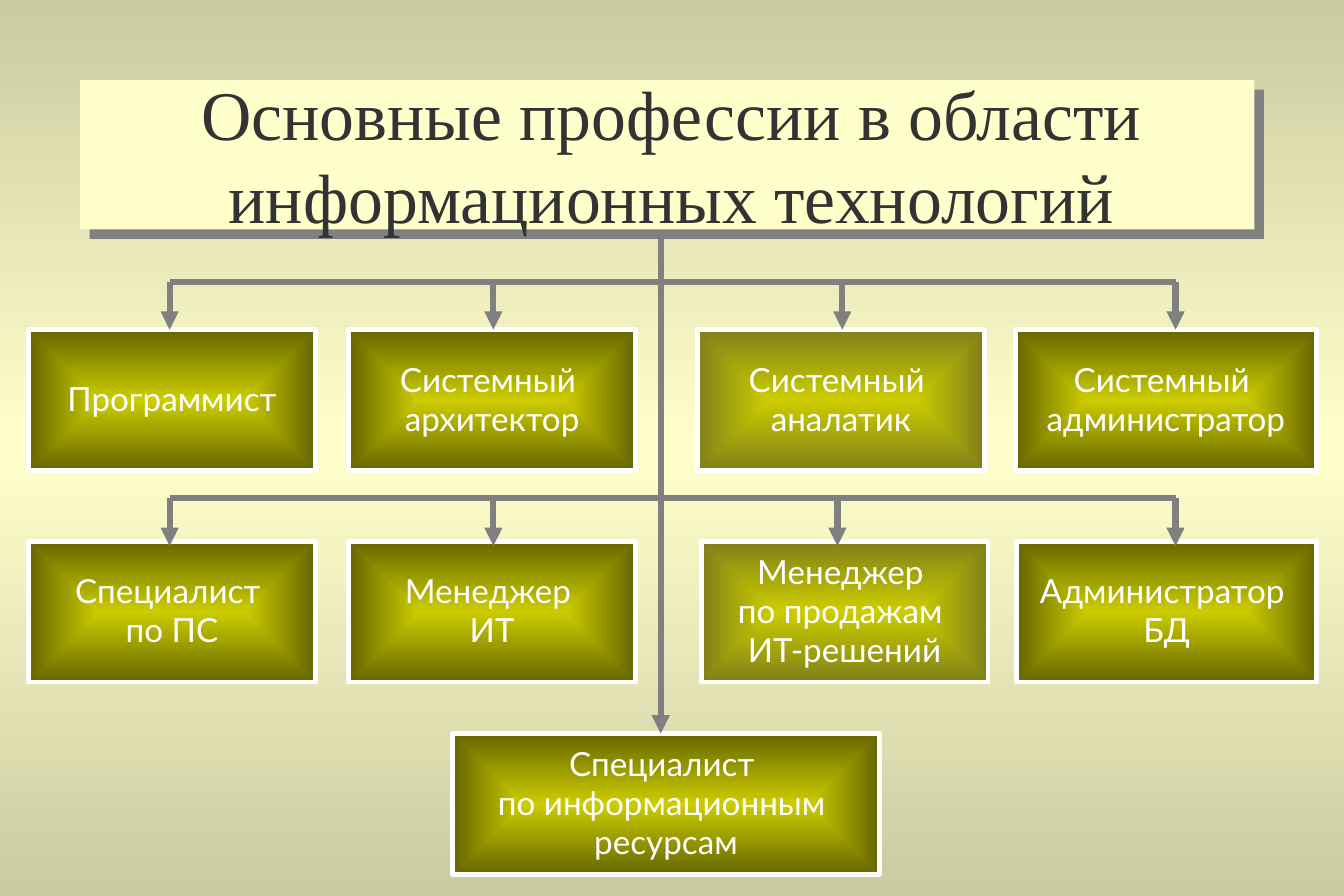
from copy import deepcopy

from lxml.etree import SubElement
from pptx import Presentation
from pptx.dml.color import RGBColor
from pptx.enum.shapes import MSO_CONNECTOR, MSO_SHAPE
from pptx.enum.text import MSO_ANCHOR, PP_ALIGN
from pptx.oxml.ns import qn
from pptx.util import Inches, Pt

GREY = "808080"
CREAM = "FFFFCC"
OLIVE = "666600"
PALE_OLIVE = "808019"
BOX_HEIGHT = 1.18
BAR_LEFT, BAR_RIGHT, TRUNK_X = 1.42, 9.84, 5.53

# Each row: bar height, box top, arrow length, then (left, width, arrow x, edge colour, lines)
ROWS = [
    (2.36, 2.76, [
        (0.24, 2.4, BAR_LEFT, OLIVE, ["Программист"]),
        (2.92, 2.4, 4.13, OLIVE, ["Системный ", "архитектор"]),
        (5.84, 2.4, 7.05, PALE_OLIVE, ["Системный ", "аналатик"]),
        (8.5, 2.52, BAR_RIGHT, OLIVE, ["Системный ", "администратор"]),
    ]),
    (4.17, 4.53, [
        (0.24, 2.4, BAR_LEFT, OLIVE, ["Специалист ", "по ПС"]),
        (2.92, 2.4, 4.13, OLIVE, ["Менеджер ", "ИТ"]),
        (5.87, 2.4, 7.01, PALE_OLIVE, ["Менеджер ", "по продажам ", "ИТ-решений"]),
        (8.51, 2.51, BAR_RIGHT, OLIVE, ["Администратор ", "БД"]),
    ]),
]


def color(value):
    return RGBColor.from_string(value)


def set_gradient(fill, element, colors):
    """Fill with evenly spaced colours and return the gradient element."""
    fill.gradient()
    gradient = element.find(".//" + qn("a:gradFill"))
    stop_list = gradient.find(qn("a:gsLst"))
    while len(stop_list) < len(colors):
        stop_list.append(deepcopy(stop_list[0]))
    for index, (stop, value) in enumerate(zip(fill.gradient_stops, colors)):
        stop.position = index / (len(colors) - 1)
        stop.color.rgb = color(value)
    return gradient


def add_background(slide):
    fill = slide.background.fill
    set_gradient(fill, slide.element, ["CBCBA2", CREAM, "CBCBA2"])
    fill.gradient_angle = 270


def add_rectangle(slide, left, top, width, height):
    shape = slide.shapes.add_shape(MSO_SHAPE.RECTANGLE, Inches(left), Inches(top),
                                   Inches(width), Inches(height))
    shape.shadow.inherit = False
    return shape


def write_lines(frame, lines, size, font_name, font_color, spacing=1.0):
    frame.vertical_anchor = MSO_ANCHOR.MIDDLE
    for index, text in enumerate(lines):
        paragraph = frame.add_paragraph() if index else frame.paragraphs[0]
        paragraph.alignment = PP_ALIGN.CENTER
        paragraph.line_spacing = spacing
        run = paragraph.add_run()
        run.text = text
        run.font.size = Pt(size)
        run.font.name = font_name
        run.font.color.rgb = color(font_color)


def add_title(slide, left, top, width, height):
    # Grey panel behind, cream panel in front
    for offset, fill_color in ((0.08, GREY), (0, CREAM)):
        panel = add_rectangle(slide, left + offset, top + offset, width, height)
        panel.fill.solid()
        panel.fill.fore_color.rgb = color(fill_color)
        panel.line.fill.background()
    # Heading, slightly taller than the panel
    heading = slide.shapes.add_textbox(Inches(left + 0.17), Inches(top - 0.16),
                                       Inches(width - 0.27), Inches(height + 0.31))
    heading.text_frame.word_wrap = True
    write_lines(heading.text_frame,
                ["Основные профессии в области информационных технологий"],
                42, "Times New Roman", "333333")


def add_job_box(slide, left, top, width, edge_color, lines):
    box = add_rectangle(slide, left, top, width, BOX_HEIGHT)
    gradient = set_gradient(box.fill, box.element, ["CCCC00", edge_color])
    # Rectangular gradient running out from the centre
    gradient.remove(gradient.find(qn("a:lin")))
    outward = SubElement(gradient, qn("a:path"), {"path": "rect"})
    SubElement(outward, qn("a:fillToRect"), dict.fromkeys("ltrb", "50000"))
    box.line.color.rgb = color("FFFFFF")
    box.line.width = Pt(2.83)
    frame = box.text_frame
    frame.word_wrap = False
    frame.margin_left = frame.margin_right = Inches(0.11)
    frame.margin_top = frame.margin_bottom = Inches(0.07)
    write_lines(frame, lines, 20, "Lato", "FFFFFF", 0.98)


def add_line(slide, start_x, start_y, end_x, end_y, arrow=False):
    line = slide.shapes.add_connector(MSO_CONNECTOR.STRAIGHT, Inches(start_x),
                                      Inches(start_y), Inches(end_x), Inches(end_y))
    line.line.color.rgb = color(GREY)
    line.line.width = Pt(3.69)
    properties = line.element.spPr
    if arrow:
        SubElement(properties.find(qn("a:ln")), qn("a:tailEnd"), {"type": "triangle"})
    SubElement(properties, qn("a:effectLst"))


def add_job_row(slide, bar_y, box_top, jobs):
    for left, width, _, edge_color, lines in jobs:
        add_job_box(slide, left, box_top, width, edge_color, lines)
    # Bar with one arrow down to each box
    add_line(slide, BAR_LEFT, bar_y, BAR_RIGHT, bar_y)
    for _, _, arrow_x, _, _ in jobs:
        add_line(slide, arrow_x, bar_y, arrow_x, bar_y + 0.4, arrow=True)


def main():
    presentation = Presentation()
    presentation.slide_width = Inches(11.25)
    presentation.slide_height = Inches(7.5)
    slide = presentation.slides.add_slide(presentation.slide_layouts[6])

    add_background(slide)
    add_title(slide, 0.67, 0.67, 9.83, 1.25)
    for bar_y, box_top, jobs in ROWS:
        add_job_row(slide, bar_y, box_top, jobs)

    # Last box, reached by the trunk from the title
    add_job_box(slide, 3.79, 6.14, 3.57, OLIVE,
                ["Специалист ", "по информационным ", "ресурсам"])
    add_line(slide, TRUNK_X, 1.93, TRUNK_X, 6.14, arrow=True)
    presentation.save("out.pptx")


if __name__ == "__main__":
    main()
